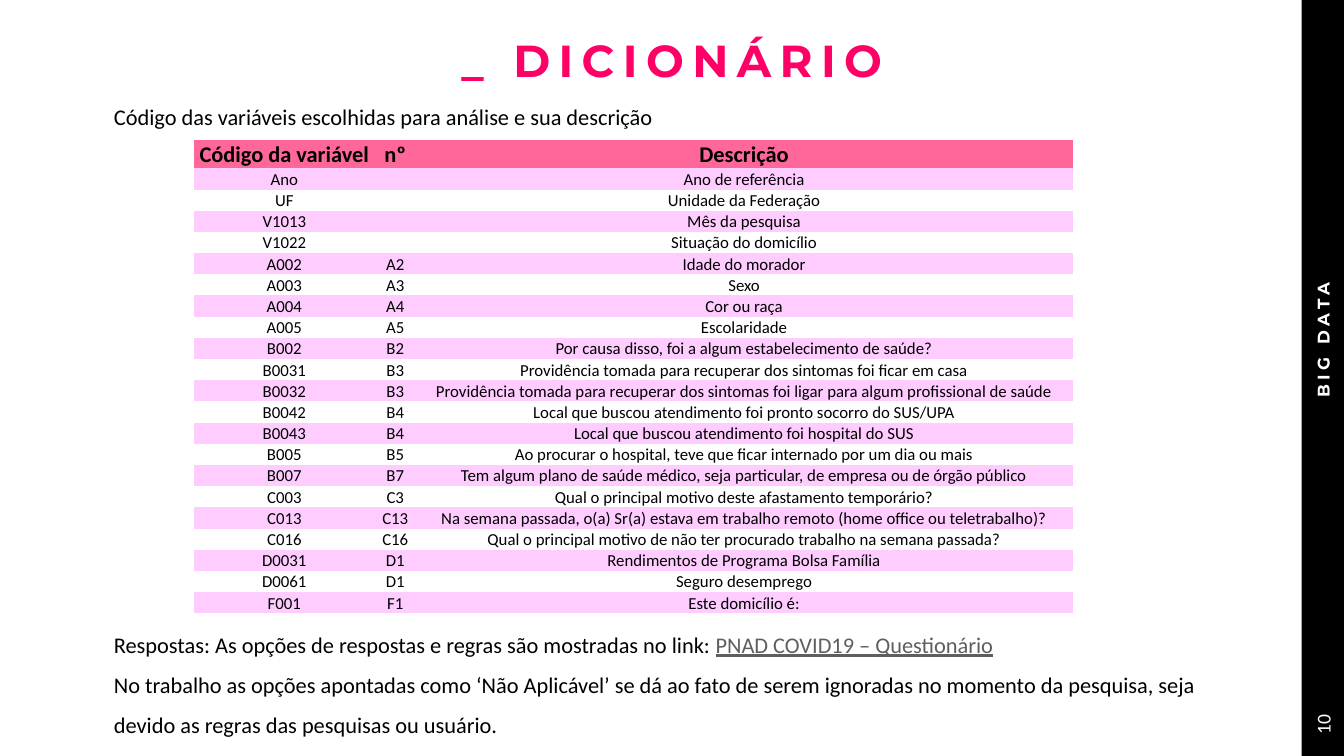
from lxml.etree import SubElement
from pptx import Presentation
from pptx.dml.color import RGBColor
from pptx.enum.shapes import MSO_SHAPE
from pptx.enum.text import MSO_ANCHOR, MSO_AUTO_SIZE, PP_ALIGN
from pptx.oxml.ns import qn
from pptx.util import Inches, Pt

BLACK, WHITE, GREY = "000000", "FFFFFF", "5F5F5F"
TITLE_PINK, HEADER_PINK, BAND_PINK = "FF0066", "FF6699", "FFCCFF"
NO_STYLE_NO_GRID = "{2D5ABB26-0587-4C30-8999-92F81FD0307C}"
SLIDE_WIDTH, SLIDE_HEIGHT = 13.33, 7.5
BAND_WIDTH = 0.42
CONTENT_LEFT, CONTENT_WIDTH = 1.13, 11.07
COLUMN_WIDTHS = (1.8, 0.4, 6.52)
HEADER_HEIGHT, ROW_HEIGHT = 0.28, 0.21

HEADINGS = ("Código da variável", "nº", "Descrição")
VARIABLES = (
    ("Ano", "", "Ano de referência"),
    ("UF", "", "Unidade da Federação"),
    ("V1013", "", "Mês da pesquisa"),
    ("V1022", "", "Situação do domicílio"),
    ("A002", "A2", "Idade do morador"),
    ("A003", "A3", "Sexo"),
    ("A004", "A4", "Cor ou raça"),
    ("A005", "A5", "Escolaridade"),
    ("B002", "B2", "Por causa disso, foi a algum estabelecimento de saúde?"),
    ("B0031", "B3", "Providência tomada para recuperar dos sintomas foi ficar em casa"),
    ("B0032", "B3", "Providência tomada para recuperar dos sintomas foi ligar para algum profissional de saúde"),
    ("B0042", "B4", "Local que buscou atendimento foi pronto socorro do SUS/UPA"),
    ("B0043", "B4", "Local que buscou atendimento foi hospital do SUS"),
    ("B005", "B5", "Ao procurar o hospital, teve que ficar internado por um dia ou mais"),
    ("B007", "B7", "Tem algum plano de saúde médico, seja particular, de empresa ou de órgão público"),
    ("C003", "C3", "Qual o principal motivo deste afastamento temporário?"),
    ("C013", "C13", "Na semana passada, o(a) Sr(a) estava em trabalho remoto (home office ou teletrabalho)?"),
    ("C016", "C16", "Qual o principal motivo de não ter procurado trabalho na semana passada?"),
    ("D0031", "D1", "Rendimentos de Programa Bolsa Família"),
    ("D0061", "D1", "Seguro desemprego"),
    ("F001", "F1", "Este domicílio é:"),
)
INTRODUCTION = "Código das variáveis escolhidas para análise e sua descrição"
ANSWERS = "Respostas: As opções de respostas e regras são mostradas no link: "
LINK = "PNAD COVID19 – Questionário"
REMARK = ("No trabalho as opções apontadas como ‘Não Aplicável’ se dá ao fato de serem ignoradas "
          "no momento da pesquisa, seja devido as regras das pesquisas ou usuário.")


def color(value):
    return RGBColor.from_string(value)


def paint(shape, value):
    shape.fill.solid()
    shape.fill.fore_color.rgb = color(value)


def format_run(run, size, value=BLACK, name="Calibri", bold=False, spacing=0):
    """Set the look of a run; spacing is the points added between letters."""
    font = run.font
    font.name, font.size, font.bold = name, Pt(size), bold
    font.color.rgb = color(value)
    if spacing:
        font._element.set("spc", str(spacing * 100))


def place(shape, left, top, width, height):
    shape.left, shape.top = Inches(left), Inches(top)
    shape.width, shape.height = Inches(width), Inches(height)


def set_margins(text_frame, left=0, top=0, right=0, bottom=0):
    text_frame.margin_left, text_frame.margin_right = Inches(left), Inches(right)
    text_frame.margin_top, text_frame.margin_bottom = Inches(top), Inches(bottom)


def add_title(slide, left, top, width, height):
    title = slide.shapes.title
    place(title, left, top, width, height)
    text_frame = title.text_frame
    text_frame.text = "_ DICIONÁRIO"
    text_frame.auto_size = MSO_AUTO_SIZE.NONE
    text_frame.vertical_anchor = MSO_ANCHOR.MIDDLE
    set_margins(text_frame)
    paragraph = text_frame.paragraphs[0]
    paragraph.alignment = PP_ALIGN.CENTER
    paragraph.line_spacing = 0.9
    format_run(paragraph.runs[0], 32, TITLE_PINK, "Montserrat", True, 6)


def add_body(slide, left, top, width, height):
    """Place the introduction above the table and the remarks below it."""
    body = slide.placeholders[1]
    place(body, left, top, width, height)
    text_frame = body.text_frame
    text_frame.text = "\n".join((INTRODUCTION, ANSWERS, REMARK))
    text_frame.auto_size = MSO_AUTO_SIZE.NONE
    text_frame.vertical_anchor = MSO_ANCHOR.TOP
    set_margins(text_frame)
    table_gap = 348
    for paragraph, space_before in zip(text_frame.paragraphs, (0, table_gap, 0)):
        properties = paragraph._p.get_or_add_pPr()
        properties.set("marL", "0")
        properties.set("indent", "0")
        SubElement(properties, qn("a:buNone"))
        paragraph.alignment = PP_ALIGN.LEFT
        paragraph.line_spacing = 1.5
        paragraph.space_before = Pt(space_before)
        paragraph.space_after = Pt(0)
        format_run(paragraph.runs[0], 16)
    link = text_frame.paragraphs[1].add_run()
    link.text = LINK
    format_run(link, 16, GREY)
    link.font.underline = True


def fill_cell(cell, text, size, fill, bold):
    paint(cell, fill)
    cell.vertical_anchor = MSO_ANCHOR.MIDDLE
    set_margins(cell, 0.01, 0.01, 0.01)
    paragraph = cell.text_frame.paragraphs[0]
    paragraph.alignment = PP_ALIGN.CENTER
    if text:
        paragraph.text = text
        format_run(paragraph.runs[0], size, bold=bold)
    else:
        SubElement(paragraph._p, qn("a:endParaRPr"), sz=str(size * 100))


def add_dictionary(slide, left, top):
    height = HEADER_HEIGHT + ROW_HEIGHT * len(VARIABLES)
    table = slide.shapes.add_table(
        len(VARIABLES) + 1, len(HEADINGS), Inches(left), Inches(top),
        Inches(sum(COLUMN_WIDTHS)), Inches(height)).table
    table.horz_banding = False
    table._tbl.tblPr.find(qn("a:tableStyleId")).text = NO_STYLE_NO_GRID
    for column, width in zip(table.columns, COLUMN_WIDTHS):
        column.width = Inches(width)
    for index, texts in enumerate((HEADINGS, *VARIABLES)):
        is_header = index == 0
        table.rows[index].height = Inches(HEADER_HEIGHT if is_header else ROW_HEIGHT)
        fill = HEADER_PINK if is_header else BAND_PINK if index % 2 else WHITE
        for cell, text in zip(table.rows[index].cells, texts):
            fill_cell(cell, text, 16 if is_header else 12, fill, is_header)


def add_upward_text(slide, text, center_x, center_y, length, thickness, **look):
    """Add a line of text that reads from bottom to top around a centre."""
    box = slide.shapes.add_textbox(
        Inches(center_x - length / 2), Inches(center_y - thickness / 2),
        Inches(length), Inches(thickness))
    box.rotation = 270
    text_frame = box.text_frame
    text_frame.word_wrap = True
    text_frame.vertical_anchor = MSO_ANCHOR.MIDDLE
    text_frame.text = text
    paragraph = text_frame.paragraphs[0]
    paragraph.alignment = PP_ALIGN.CENTER
    format_run(paragraph.runs[0], value=WHITE, **look)
    return box


def add_side_band(slide, left, top, width, height):
    band = slide.shapes.add_shape(
        MSO_SHAPE.RECTANGLE, Inches(left), Inches(top), Inches(width), Inches(height))
    band.shadow.inherit = False
    paint(band, BLACK)
    band.line.fill.background()
    center = left + width / 2
    add_upward_text(slide, "10", center, top + height - 0.31, 0.62, width, size=14)
    course = add_upward_text(slide, "BIG DATA", center, top + 3.44, 6.88, width,
                             size=12, name="Montserrat", bold=True, spacing=3)
    set_margins(course.text_frame, 0.23, 0.05, 0.1, 0.05)


def main():
    presentation = Presentation()
    presentation.slide_width = Inches(SLIDE_WIDTH)
    presentation.slide_height = Inches(SLIDE_HEIGHT)
    slide = presentation.slides.add_slide(presentation.slide_layouts[1])
    add_side_band(slide, SLIDE_WIDTH - BAND_WIDTH, 0, BAND_WIDTH, SLIDE_HEIGHT)
    add_title(slide, CONTENT_LEFT, 0.27, CONTENT_WIDTH, 0.71)
    add_body(slide, CONTENT_LEFT, 0.89, CONTENT_WIDTH, 6.55)
    add_dictionary(slide, 1.92, 1.39)
    presentation.save("out.pptx")


if __name__ == "__main__":
    main()
